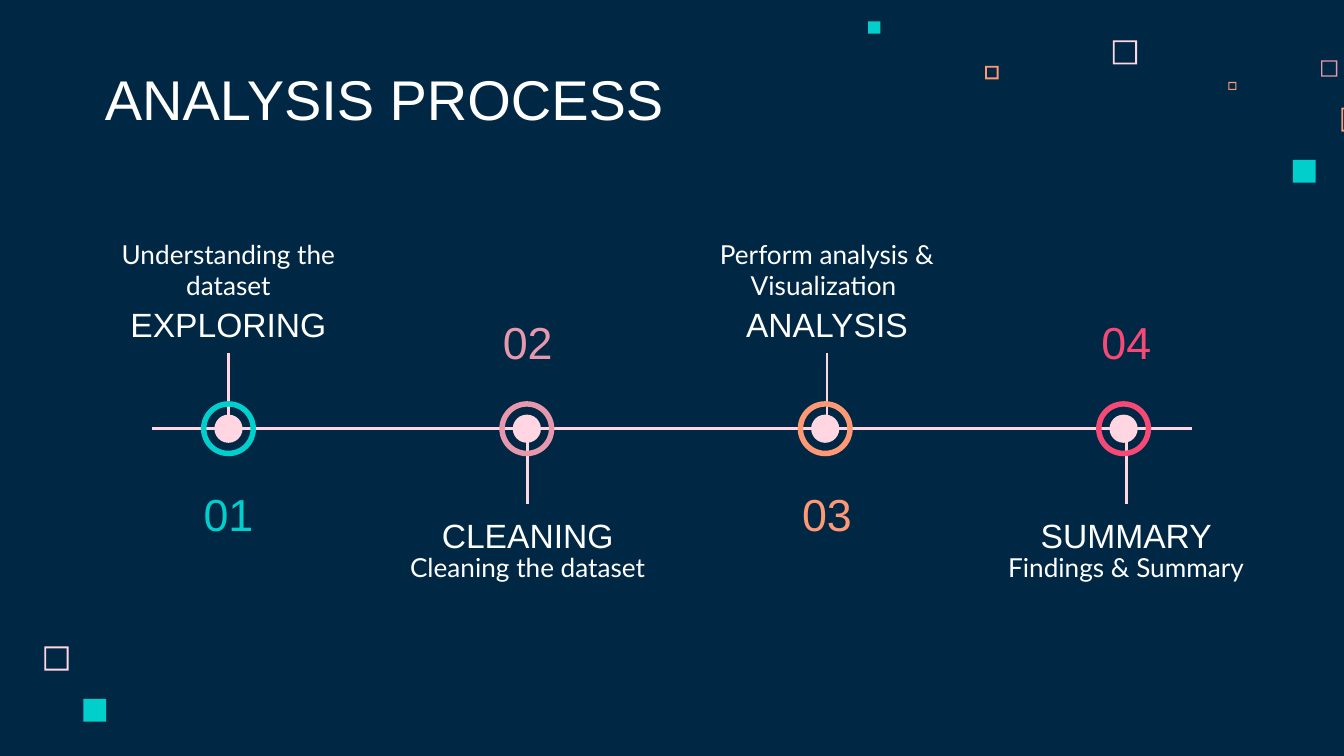
from lxml import etree
from pptx import Presentation
from pptx.dml.color import RGBColor
from pptx.enum.shapes import MSO_CONNECTOR as CONN, MSO_SHAPE as SHAPE
from pptx.enum.text import MSO_ANCHOR as ANCHOR, MSO_AUTO_SIZE as FIT, PP_ALIGN as ALIGN
from pptx.oxml.ns import qn
from pptx.util import Inches, Pt

COLORS = {
    "navy": "002845", "white": "FFFFFF", "blush": "FFD6E1", "teal": "00CFCC",
    "rose": "E898AC", "orange": "FF9973", "red": "F64975",
}

# Content
TITLE = "ANALYSIS PROCESS"
STEPS = [  # heading, description, description width, color, heading above the line
    ("EXPLORING", "Understanding the dataset", 2.06, "teal", True),
    ("CLEANING", "Cleaning the dataset", 2.31, "rose", False),
    ("ANALYSIS", "Perform analysis & Visualization ", 2.31, "orange", True),
    ("SUMMARY", "Findings & Summary", 2.06, "red", False),
]
SQUARES = [  # left, top, size, color, hollow
    (8.28, 0.30, 0.18, "blush", True),
    (9.83, 0.45, 0.12, "rose", True),
    (9.14, 0.61, 0.06, "orange", True),
    (9.98, 0.80, 0.18, "orange", True),
    (9.62, 1.19, 0.17, "teal", False),
    (7.33, 0.49, 0.10, "orange", True),
    (6.46, 0.16, 0.09, "teal", False),
    (0.33, 4.81, 0.18, "blush", True),
    (0.62, 5.20, 0.17, "teal", False),
]

# Timeline geometry
FIRST_X, LAST_X = 1.70, 8.38
TEXT_STEP = (LAST_X - FIRST_X) / (len(STEPS) - 1)
FIRST_DOT_X, DOT_STEP = 1.70, 2.22
LINE_Y, DOT, RING = 3.19, 0.21, 0.41


def rgb(name):
    return RGBColor.from_string(COLORS[name])


def add_filled(kind, x, y, size, color):
    sp = slide.shapes.add_shape(kind, Inches(x), Inches(y), Inches(size), Inches(size))
    sp.shadow.inherit = False
    sp.fill.solid()
    sp.fill.fore_color.rgb = rgb(color)
    sp.line.fill.background()
    return sp


def add_line(x1, y1, x2, y2):
    line = slide.shapes.add_connector(
        CONN.STRAIGHT, Inches(x1), Inches(y1), Inches(x2), Inches(y2))
    line.line.color.rgb = rgb("blush")
    line.line.width = Pt(1.5)
    etree.SubElement(line._element.spPr, qn("a:effectLst"))


def write(sp, text, size, anchor, color="white", font="Arial", align=ALIGN.CENTER):
    tf = sp.text_frame
    tf.word_wrap = True
    tf.auto_size = FIT.NONE
    tf.vertical_anchor = anchor
    tf.margin_left = tf.margin_right = tf.margin_top = tf.margin_bottom = Inches(0.1)
    p = tf.paragraphs[0]
    p.alignment = align
    r = p.add_run()
    r.text = text
    r.font.size = Pt(size)
    r.font.name = font
    r.font.color.rgb = rgb(color)


def add_text(center, top, width, height, *args, **kwargs):
    box = slide.shapes.add_textbox(
        Inches(center - width / 2), Inches(top), Inches(width), Inches(height))
    write(box, *args, **kwargs)


prs = Presentation()
prs.slide_width = Inches(10)
prs.slide_height = prs.slide_width * 9 // 16
slide = prs.slides.add_slide(prs.slide_layouts[5])
slide.background.fill.solid()
slide.background.fill.fore_color.rgb = rgb("navy")

# Title
title = slide.shapes.title
title.left, title.top = Inches(0.68), Inches(0.45)
title.width, title.height = Inches(5.17), Inches(0.63)
write(title, TITLE, 30, ANCHOR.BOTTOM, align=ALIGN.LEFT)

# Scattered squares
for x, y, size, color, hollow in SQUARES:
    sq = add_filled(SHAPE.FRAME if hollow else SHAPE.RECTANGLE, x, y, size, color)
    if hollow:
        sq.adjustments[0] = 0.08 if size > 0.1 else 0.14

# Timeline axis
add_line(1.13, LINE_Y, 8.87, LINE_Y)

# Steps
for i, (heading, detail, width, color, above) in enumerate(STEPS):
    x = FIRST_X + i * TEXT_STEP
    dot_x = FIRST_DOT_X + i * DOT_STEP

    # Stem and marker
    stem_top, stem_end = (2.63, 3.13) if above else (3.26, 3.75)
    add_line(x, stem_top, x, stem_end)
    for kind, size, fill in ((SHAPE.OVAL, DOT, "blush"), (SHAPE.DONUT, RING, color)):
        marker = add_filled(kind, dot_x - size / 2, LINE_Y - size / 2, size, fill)
    marker.adjustments[0] = 0.1

    # Heading and description on one side, number on the other
    heading_y, detail_y, number_y = (2.16, 1.63, 3.59) if above else (3.76, 4.0, 2.31)
    heading_anchor, detail_anchor = (
        (ANCHOR.TOP, ANCHOR.BOTTOM) if above else (ANCHOR.BOTTOM, ANCHOR.TOP))
    add_text(x, heading_y, 2.06, 0.47, heading, 18, heading_anchor)
    add_text(x, detail_y, width, 0.71, detail, 14, detail_anchor, font="Lato")
    add_text(x, number_y, 1.41, 0.47, f"{i + 1:02d}", 24, ANCHOR.MIDDLE, color)

prs.save("out.pptx")
